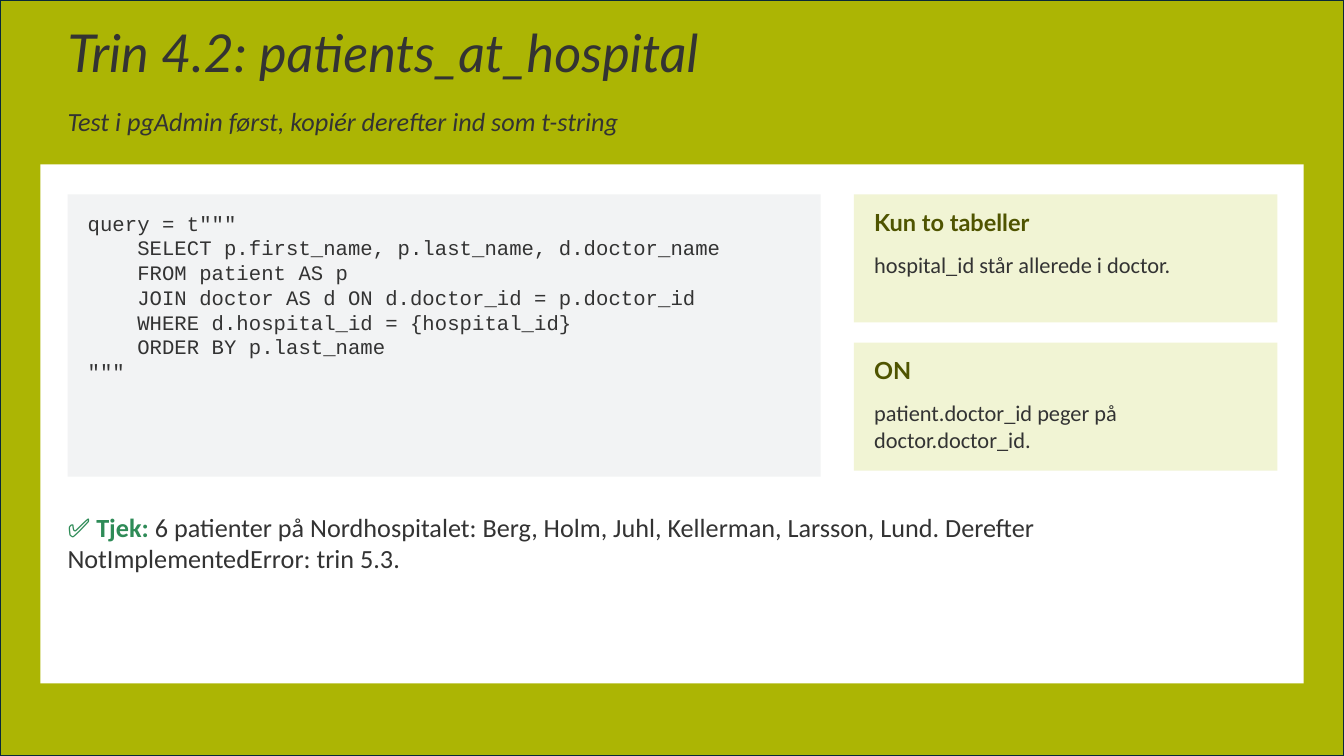
"""Build the slide on the patients_at_hospital query step."""
from pptx import Presentation
from pptx.dml.color import RGBColor
from pptx.enum.shapes import MSO_SHAPE
from pptx.enum.text import MSO_ANCHOR, MSO_AUTO_SIZE, PP_ALIGN
from pptx.util import Inches, Pt

HUES = {
    "olive": "ACB504", "navy": "092A39", "white": "FFFFFF", "ink": "333333",
    "code": "F2F3F4", "card": "F1F4D4", "head": "4F5400", "check": "2E8B57",
}


def add_box(left, top, width, height, hue):
    box = slide.shapes.add_shape(
        MSO_SHAPE.RECTANGLE, Inches(left), Inches(top), Inches(width), Inches(height))
    box.shadow.inherit = False
    box.fill.solid()
    box.fill.fore_color.rgb = RGBColor.from_string(HUES[hue])
    box.line.fill.background()
    return box


def set_text(shape, place, text, size, face="Calibri", hue="ink", bold=False, italic=False):
    shape.left, shape.top, shape.width, shape.height = map(Inches, place)
    frame = shape.text_frame
    frame.margin_left = frame.margin_right = frame.margin_top = frame.margin_bottom = 0
    frame.word_wrap = True
    frame.auto_size = MSO_AUTO_SIZE.NONE
    frame.vertical_anchor = MSO_ANCHOR.TOP
    frame.text = text
    for para in frame.paragraphs:
        para.alignment = PP_ALIGN.LEFT
        for run in para.runs:
            font = run.font
            font.name, font.size = face, Pt(size)
            font.bold, font.italic = bold, italic
            font.color.rgb = RGBColor.from_string(HUES[hue])
    return frame


deck = Presentation()
deck.slide_width, deck.slide_height = Inches(13.33), Inches(7.5)
slide = deck.slides.add_slide(deck.slide_layouts[5])
shapes = slide.shapes

back = add_box(0, 0, 13.33, 7.5, "olive")
back.line.color.rgb = RGBColor.from_string(HUES["navy"])
back.line.width = Pt(1.5)
shapes.title._element.addprevious(back._element)

title = set_text(shapes.title, (0.67, 0.27, 12, 0.73), "Trin 4.2: patients_at_hospital",
                 37.3, "Lato", italic=True)
title.paragraphs[0].line_spacing = 0.9

add_box(0.4, 1.63, 12.53, 5.15, "white")
set_text(shapes.add_textbox(0, 0, 0, 0), (0.67, 1.04, 12, 0.47),
         "Test i pgAdmin først, kopiér derefter ind som t-string", 18.7, italic=True)

query = '''query = t"""
    SELECT p.first_name, p.last_name, d.doctor_name
    FROM patient AS p
    JOIN doctor AS d ON d.doctor_id = p.doctor_id
    WHERE d.hospital_id = {hospital_id}
    ORDER BY p.last_name
"""'''
add_box(0.67, 1.93, 7.47, 2.8, "code")
set_text(shapes.add_textbox(0, 0, 0, 0), (0.87, 2.09, 7.07, 2.53), query, 14.7, "Courier New")

cards = [
    ("Kun to tabeller", "hospital_id står allerede i doctor."),
    ("ON", "patient.doctor_id peger på doctor.doctor_id."),
]
for row, (head, body) in enumerate(cards):
    top = 1.93 + 1.47 * row
    add_box(8.47, top, 4.2, 1.27, "card")
    set_text(shapes.add_textbox(0, 0, 0, 0), (8.67, top + 0.13, 3.8, 0.4),
             head, 16.8, "Lato", "head", bold=True)
    set_text(shapes.add_textbox(0, 0, 0, 0), (8.67, top + 0.56, 3.8, 0.63), body, 16)

check = set_text(shapes.add_textbox(0, 0, 0, 0), (0.67, 5.07, 12, 1.33),
                 "✅ Tjek: ", 18.7, hue="check", bold=True)
rest = check.paragraphs[0].add_run()
rest.text = ("6 patienter på Nordhospitalet: Berg, Holm, Juhl, Kellerman, Larsson, Lund. "
             "Derefter NotImplementedError: trin 5.3.")
rest.font.name, rest.font.size, rest.font.bold = "Calibri", Pt(18.7), False
rest.font.color.rgb = RGBColor.from_string(HUES["ink"])

deck.save("out.pptx")
